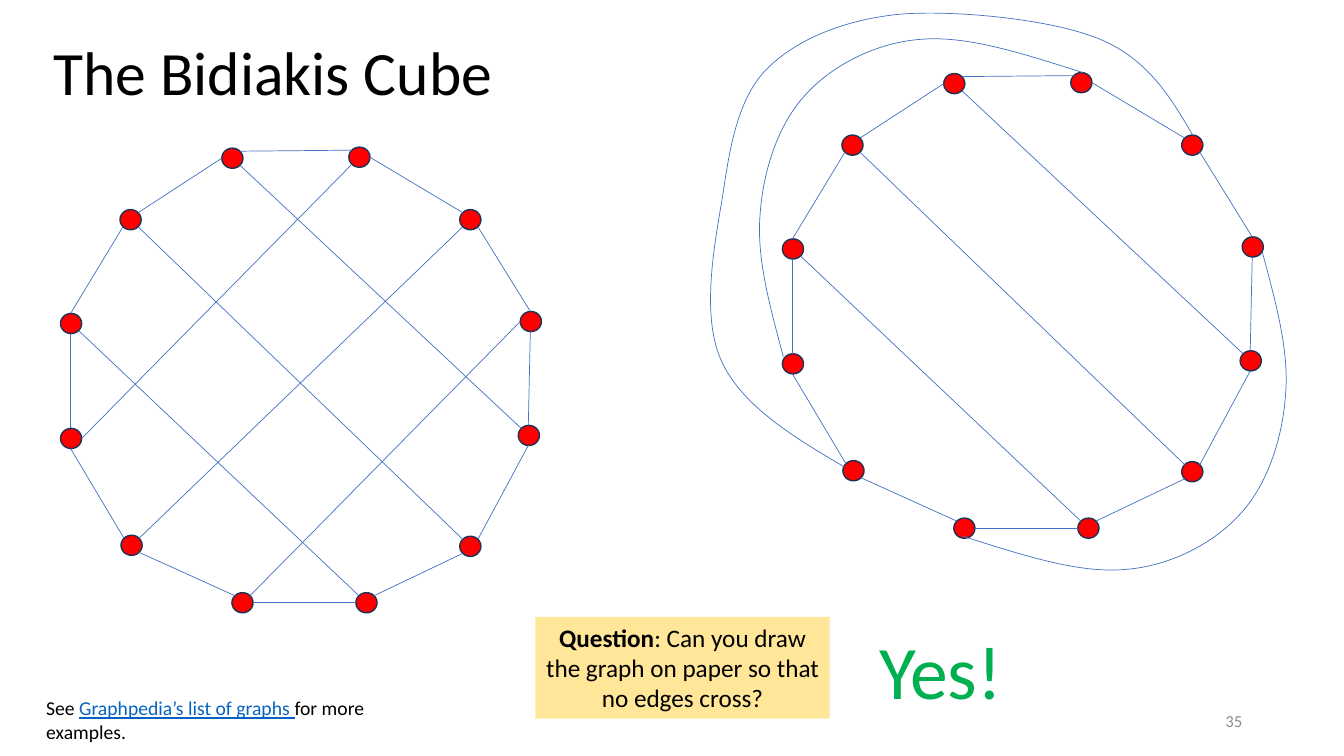
from dataclasses import dataclass
from typing import NamedTuple

from lxml import etree
from pptx import Presentation
from pptx.dml.color import RGBColor
from pptx.enum.shapes import MSO_CONNECTOR, MSO_SHAPE
from pptx.enum.text import MSO_ANCHOR, PP_ALIGN
from pptx.oxml.ns import qn
from pptx.util import Emu, Pt

PX = 9144  # EMU per px, 100 px to the inch


@dataclass(frozen=True)
class Theme:
    font: str = "Calibri"
    text: str = "000000"
    muted: str = "8C8C8C"
    link: str = "0563C1"
    answer: str = "00B050"
    question_fill: str = "FFE699"
    vertex_fill: str = "FF0000"
    vertex_line: str = "1E3256"
    edge: str = "4472C4"
    title_size: int = 44
    answer_size: int = 54
    body_size: int = 18
    note_size: int = 14
    number_size: int = 12
    vertex_width: float = 1
    edge_width: float = 0.5


class Point(NamedTuple):
    x: int
    y: int


class Box(NamedTuple):
    x: int
    y: int
    w: int
    h: int


class Edge(NamedTuple):
    start: int
    start_site: str
    end: int
    end_site: str


class Span(NamedTuple):
    text: str
    color: str
    bold: bool = False
    underline: bool = False


THEME = Theme()
VERTEX_W, VERTEX_H = 21, 20

# Edge ends relative to the top left of a vertex
SITES = {
    "T": Point(10, 0), "B": Point(10, 20), "L": Point(0, 10), "R": Point(21, 10),
    "TL": Point(3, 3), "TR": Point(18, 3), "BL": Point(3, 17), "BR": Point(18, 17),
}

# Vertices clockwise from the upper left one
VERTICES = [
    Point(220, 147), Point(346, 146), Point(456, 208), Point(516, 309),
    Point(514, 422), Point(456, 532), Point(353, 588), Point(230, 588),
    Point(120, 531), Point(60, 425), Point(60, 311), Point(119, 208),
]
SHARED_EDGES = [
    Edge(11, "TR", 0, "L"), Edge(0, "TR", 1, "TL"), Edge(1, "R", 2, "TL"),
    Edge(3, "T", 2, "BR"), Edge(4, "T", 3, "B"), Edge(5, "TR", 4, "B"),
    Edge(6, "TR", 5, "BL"), Edge(7, "R", 6, "L"), Edge(8, "BR", 7, "TL"),
    Edge(9, "B", 8, "TL"), Edge(9, "T", 10, "B"), Edge(10, "T", 11, "BL"),
    Edge(5, "TL", 11, "BR"), Edge(4, "TL", 0, "BR"), Edge(6, "TL", 10, "BR"),
]
CROSSING_EDGES = [Edge(9, "R", 1, "BL"), Edge(8, "TR", 2, "BL"), Edge(7, "TR", 3, "L")]
PLANAR_OFFSET = Point(716, -74)

# Crossing edges rerouted outside: a start, then three points per Bézier segment
INNER_CURVE = [
    Point(1074, 72), Point(1017, 54), Point(960, 35), Point(914, 39),
    Point(869, 42), Point(825, 65), Point(799, 94), Point(772, 123),
    Point(757, 169), Point(754, 212), Point(750, 256), Point(764, 305), Point(777, 354),
]
OUTER_CURVE = [
    Point(1183, 134), Point(1161, 97), Point(1139, 59), Point(1091, 39),
    Point(1043, 19), Point(949, 10), Point(894, 14), Point(840, 19),
    Point(791, 38), Point(761, 68), Point(732, 97), Point(724, 145),
    Point(717, 193), Point(709, 241), Point(695, 311), Point(715, 357),
    Point(735, 402), Point(786, 433), Point(837, 463),
]
OPPOSITE_CURVE = [Point(2029 - p.x, 604 - p.y) for p in INNER_CURVE]  # half turn


def rgb(color: str) -> RGBColor:
    return RGBColor.from_string(color)


def px(*values: int) -> list[Emu]:
    return [Emu(v * PX) for v in values]


def style_line(line, color: str, width: float) -> None:
    line.color.rgb = rgb(color)
    line.width = Pt(width)


def write_text(sp, spans: list[Span], size: int, align=PP_ALIGN.LEFT,
               anchor=MSO_ANCHOR.TOP, wrap: bool = True) -> None:
    tf = sp.text_frame
    tf.word_wrap = wrap
    tf.vertical_anchor = anchor
    p = tf.paragraphs[0]
    p.alignment = align
    for span in spans:
        r = p.add_run()
        r.text = span.text
        r.font.name, r.font.size = THEME.font, Pt(size)
        r.font.bold, r.font.underline = span.bold, span.underline
        r.font.color.rgb = rgb(span.color)


def add_vertex(shapes, at: Point) -> None:
    sp = shapes.add_shape(MSO_SHAPE.OVAL, *px(*at, VERTEX_W, VERTEX_H))
    sp.shadow.inherit = False
    sp.fill.solid()
    sp.fill.fore_color.rgb = rgb(THEME.vertex_fill)
    style_line(sp.line, THEME.vertex_line, THEME.vertex_width)


def add_edge(shapes, start: Point, end: Point) -> None:
    line = shapes.add_connector(MSO_CONNECTOR.STRAIGHT, *px(*start, *end))
    style_line(line.line, THEME.edge, THEME.edge_width)
    etree.SubElement(line._element.spPr, qn("a:effectLst"))


def add_graph(shapes, edges: list[Edge], offset: Point) -> None:
    spots = [Point(v.x + offset.x, v.y + offset.y) for v in VERTICES]

    def end_point(vertex: int, site: str) -> Point:
        return Point(spots[vertex].x + SITES[site].x, spots[vertex].y + SITES[site].y)

    for spot in spots:
        add_vertex(shapes, spot)
    for e in edges:
        add_edge(shapes, end_point(e.start, e.start_site), end_point(e.end, e.end_site))


def add_curve(shapes, points: list[Point]) -> None:
    builder = shapes.build_freeform(*points[0], scale=PX)
    builder.add_line_segments(points[1:], close=False)
    sp = builder.convert_to_shape()
    sp.shadow.inherit = False
    sp.fill.background()
    style_line(sp.line, THEME.edge, THEME.edge_width)
    # Turn each three straight segments into one Bézier segment
    outline = next(sp._element.iter(qn("a:path")))
    segments = outline.findall(qn("a:lnTo"))
    for i in range(0, len(segments), 3):
        bezier = etree.SubElement(outline, qn("a:cubicBezTo"))
        for segment in segments[i:i + 3]:
            bezier.append(segment[0])
            outline.remove(segment)


def main() -> None:
    prs = Presentation()
    prs.slide_width, prs.slide_height = px(1333, 750)
    s = prs.slides.add_slide(prs.slide_layouts[5])

    # Title
    title = s.shapes.title
    title.left, title.top, title.width, title.height = px(43, 31, 672, 88)
    write_text(title, [Span("The Bidiakis Cube", THEME.text)], THEME.title_size,
               anchor=MSO_ANCHOR.MIDDLE)
    title.text_frame.paragraphs[0].line_spacing = 0.9

    # Slide number and source note
    number = s.shapes.add_textbox(*px(*Box(942, 695, 300, 40)))
    write_text(number, [Span("35", THEME.muted)], THEME.number_size,
               PP_ALIGN.RIGHT, MSO_ANCHOR.MIDDLE)
    note = s.shapes.add_textbox(*px(*Box(36, 686, 414, 34)))
    write_text(note, [Span("See ", THEME.text),
                      Span("Graphpedia’s list of graphs ", THEME.link, underline=True),
                      Span("for more examples.", THEME.text)], THEME.note_size)

    # Question and answer
    question = s.shapes.add_shape(MSO_SHAPE.RECTANGLE, *px(*Box(531, 612, 292, 101)))
    question.shadow.inherit = False
    question.fill.solid()
    question.fill.fore_color.rgb = rgb(THEME.question_fill)
    question.line.fill.background()
    write_text(question, [
        Span("Question", THEME.text, bold=True),
        Span(": Can you draw the graph on paper so that no edges cross?", THEME.text),
    ], THEME.body_size, PP_ALIGN.CENTER)
    answer = s.shapes.add_textbox(*px(*Box(862, 614, 144, 101)))
    write_text(answer, [Span("Yes!", THEME.answer)], THEME.answer_size, wrap=False)

    # Planar drawing on the right, crossing drawing on the left
    add_graph(s.shapes, SHARED_EDGES, PLANAR_OFFSET)
    add_graph(s.shapes.add_group_shape().shapes, SHARED_EDGES + CROSSING_EDGES, Point(0, 0))
    for curve in (INNER_CURVE, OPPOSITE_CURVE, OUTER_CURVE):
        add_curve(s.shapes, curve)

    prs.save("out.pptx")


if __name__ == "__main__":
    main()
